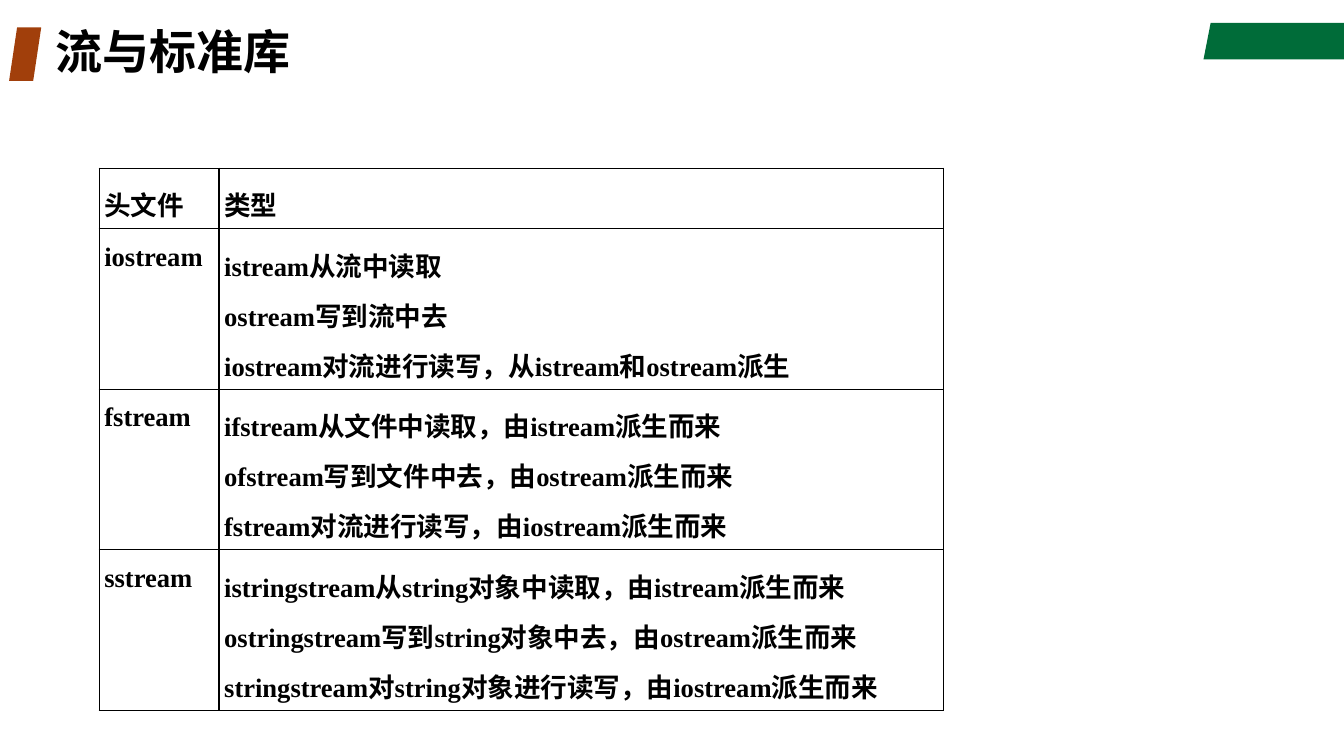
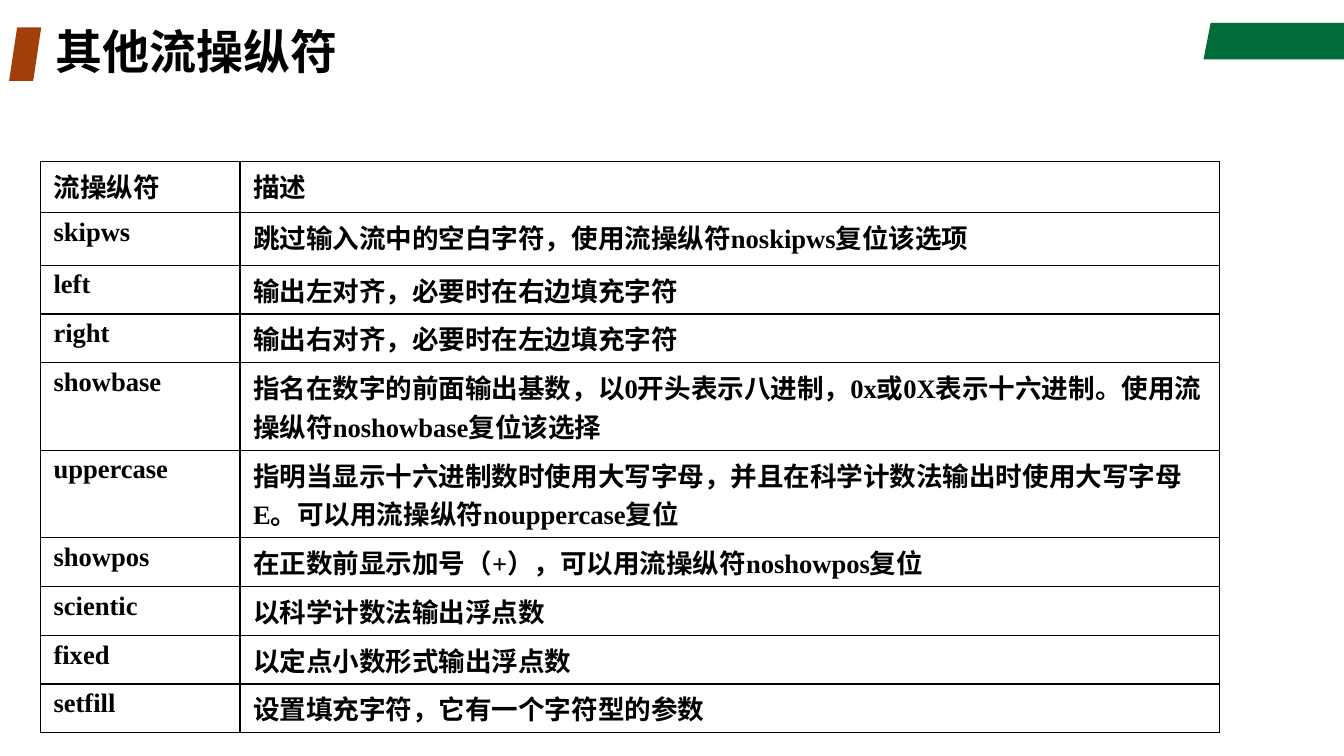
from lxml.etree import SubElement
from pptx import Presentation
from pptx.dml.color import RGBColor
from pptx.enum.shapes import MSO_SHAPE
from pptx.enum.text import MSO_ANCHOR, MSO_AUTO_SIZE, PP_ALIGN
from pptx.oxml.ns import qn
from pptx.util import Cm, Pt

BLACK = RGBColor(0x00, 0x00, 0x00)
GREEN = RGBColor(0x00, 0x6C, 0x39)
RUST = RGBColor(0xA1, 0x3F, 0x0B)
CHINESE_FONT = "Noto Sans CJK SC"
LATIN_FONT = "Times New Roman"
SLIDE_WIDTH, SLIDE_HEIGHT = Cm(33.87), Cm(19.05)

HEADERS = [
    ("头文件", ["类型"]),
    ("iostream", ["istream从流中读取", "ostream写到流中去",
                  "iostream对流进行读写，从istream和ostream派生"]),
    ("fstream", ["ifstream从文件中读取，由istream派生而来",
                 "ofstream写到文件中去，由ostream派生而来",
                 "fstream对流进行读写，由iostream派生而来"]),
    ("sstream", ["istringstream从string对象中读取，由istream派生而来",
                 "ostringstream写到string对象中去，由ostream派生而来",
                 "stringstream对string对象进行读写，由iostream派生而来"]),
]
MANIPULATORS = [
    ("流操纵符", ["描述"]),
    ("skipws", ["跳过输入流中的空白字符，使用流操纵符noskipws复位该选项"]),
    ("left", ["输出左对齐，必要时在右边填充字符"]),
    ("right", ["输出右对齐，必要时在左边填充字符"]),
    ("showbase", ["指名在数字的前面输出基数，以0开头表示八进制，0x或0X表示十六进制。"
                  "使用流操纵符noshowbase复位该选择"]),
    ("uppercase", ["指明当显示十六进制数时使用大写字母，并且在科学计数法输出时使用大写字母E。"
                   "可以用流操纵符nouppercase复位"]),
    ("showpos", ["在正数前显示加号（+），可以用流操纵符noshowpos复位"]),
    ("scientic", ["以科学计数法输出浮点数"]),
    ("fixed", ["以定点小数形式输出浮点数"]),
    ("setfill", ["设置填充字符，它有一个字符型的参数"]),
]


def add_run(paragraph, text, size, latin):
    run = paragraph.add_run()
    run.text = text
    run.font.size = Pt(size)
    run.font.bold = True
    run.font.color.rgb = BLACK
    run.font.name = latin
    SubElement(run.font._element, qn("a:ea"), typeface=CHINESE_FONT)


def paint(band, color):
    band.fill.solid()
    band.fill.fore_color.rgb = color
    band.line.fill.background()
    band.shadow.inherit = False


def add_bands(slide):
    """Draw the two slanted bands and hand them to the slide's layout."""
    left, top, height, slant = Cm(30.33), Cm(0.58), Cm(0.92), Cm(0.18)
    outline = slide.shapes.build_freeform(left + slant, top)
    outline.add_line_segments([(SLIDE_WIDTH, top), (SLIDE_WIDTH, top + height),
                               (left, top + height)])
    corner = outline.convert_to_shape()
    paint(corner, GREEN)
    marker = slide.shapes.add_shape(MSO_SHAPE.PARALLELOGRAM,
                                    Cm(0.23), Cm(0.69), Cm(0.81), Cm(1.35))
    marker.adjustments[0] = 0.25
    paint(marker, RUST)
    layout_tree = slide.slide_layout.shapes.element
    for band in (marker, corner):
        layout_tree.insert(2, band.element)


def set_title(slide, text):
    title = slide.shapes.title
    title.left, title.top, title.width, title.height = Cm(1.14), Cm(0.69), Cm(24), Cm(1.35)
    frame = title.text_frame
    frame.vertical_anchor = MSO_ANCHOR.MIDDLE
    frame.auto_size = MSO_AUTO_SIZE.NONE
    frame.word_wrap = True
    paragraph = frame.paragraphs[0]
    paragraph.alignment = PP_ALIGN.LEFT
    paragraph.line_spacing = 0.9
    add_run(paragraph, text, 33.6, CHINESE_FONT)


def add_borders(cell):
    properties = cell._tc.get_or_add_tcPr()
    for side in ("lnL", "lnR", "lnT", "lnB"):
        border = SubElement(properties, qn(f"a:{side}"), w=str(Pt(1)))
        fill = SubElement(border, qn("a:solidFill"))
        SubElement(fill, qn("a:srgbClr"), val=str(BLACK))


def fill_cell(cell, lines, side_margin, line_spacing):
    cell.margin_left = cell.margin_right = side_margin
    cell.margin_top = cell.margin_bottom = Cm(0.13)
    add_borders(cell)
    cell.fill.background()
    frame = cell.text_frame
    for number, line in enumerate(lines):
        paragraph = frame.add_paragraph() if number else frame.paragraphs[0]
        paragraph.line_spacing = line_spacing
        add_run(paragraph, line, 19, LATIN_FONT)


def add_term_table(slide, left, top, widths, heights, entries, side_margin, line_spacing=1.0):
    """Add a two-column table of terms and the lines that explain them."""
    table = slide.shapes.add_table(len(entries), 2, left, top,
                                   sum(widths), sum(heights)).table
    table.first_row = table.horz_banding = False
    for column, width in zip(table.columns, widths):
        column.width = width
    for row, height, (term, lines) in zip(table.rows, heights, entries):
        row.height = height
        fill_cell(row.cells[0], [term], side_margin, line_spacing)
        fill_cell(row.cells[1], lines, side_margin, line_spacing)


def main():
    deck = Presentation()
    deck.slide_width, deck.slide_height = SLIDE_WIDTH, SLIDE_HEIGHT
    title_only = deck.slide_layouts[5]

    library = deck.slides.add_slide(title_only)
    add_bands(library)
    set_title(library, "流与标准库")
    add_term_table(library, Cm(2.5), Cm(4.24), [Cm(3.02), Cm(18.26)],
                   [Cm(1.17)] + [Cm(3.23)] * 3, HEADERS, Cm(0.13), 1.3)

    manipulators = deck.slides.add_slide(title_only)
    set_title(manipulators, "其他流操纵符")
    add_term_table(manipulators, Cm(1.02), Cm(4.06), [Cm(5.03), Cm(24.69)],
                   [Cm(1.3), Cm(1.32)] + [Cm(1.14)] * 2 + [Cm(2)] * 2 + [Cm(1.14)] * 4,
                   MANIPULATORS, Cm(0.33))

    deck.save("out.pptx")


if __name__ == "__main__":
    main()
